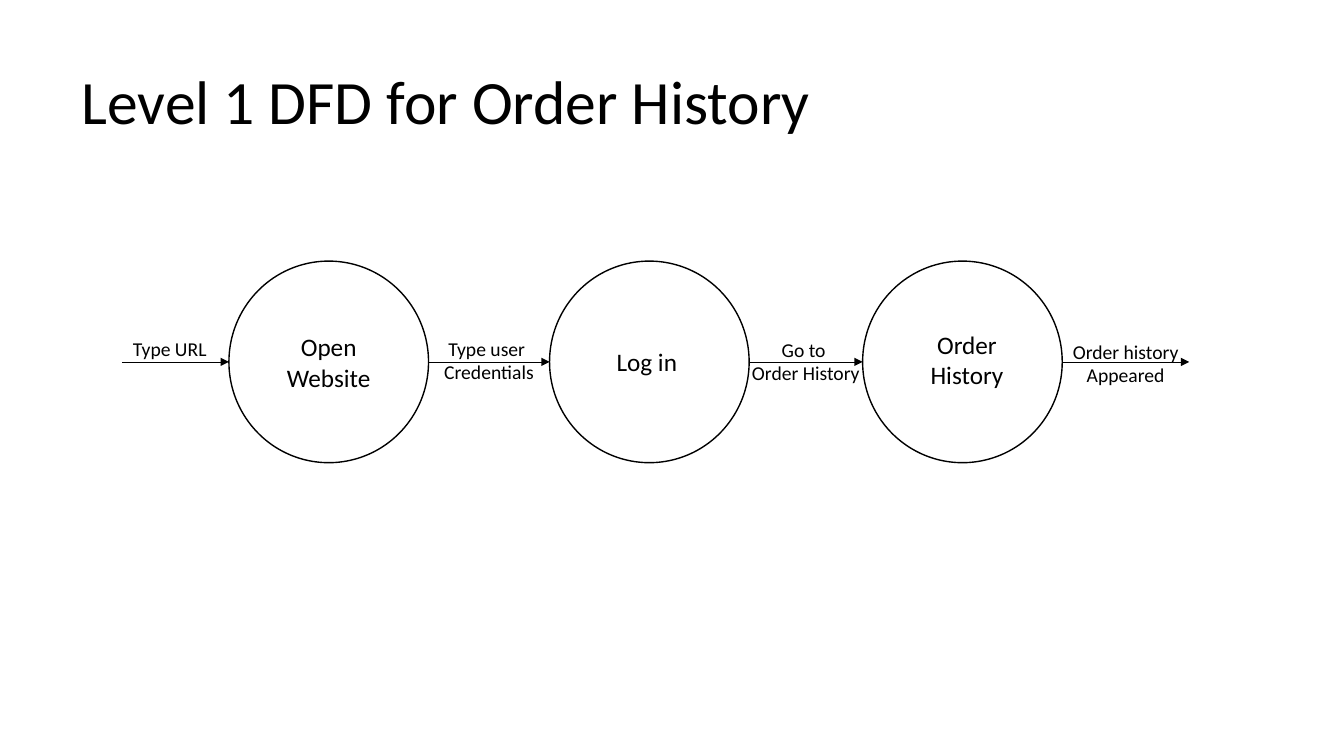
from dataclasses import dataclass

from pptx import Presentation
from pptx.dml.color import RGBColor
from pptx.enum.shapes import MSO_CONNECTOR, MSO_SHAPE
from pptx.enum.text import MSO_ANCHOR, MSO_AUTO_SIZE, PP_ALIGN
from pptx.oxml.ns import qn
from pptx.util import Cm, Pt
from lxml import etree

OVAL, LINE = MSO_SHAPE.OVAL, MSO_CONNECTOR.STRAIGHT
MIDDLE, TOP = MSO_ANCHOR.MIDDLE, MSO_ANCHOR.TOP
LEFT, CENTER = PP_ALIGN.LEFT, PP_ALIGN.CENTER
GROW, FIXED = MSO_AUTO_SIZE.SHAPE_TO_FIT_TEXT, MSO_AUTO_SIZE.NONE


@dataclass
class Theme:
    font: str = "Calibri"
    ink: RGBColor = RGBColor(0, 0, 0)
    paper: RGBColor = RGBColor(255, 255, 255)
    title: int = 44
    step: int = 18
    flow: int = 14


theme = Theme()

# Content, lengths in cm
TITLE = "Level 1 DFD for Order History"
# Circle left edge, text, and text box (left, top, width, height, align) if apart
STEPS = [
    (5.77, "Open Website", None),
    (13.85, "Log in", (15.29, 8.61, 3.58, 1.03, LEFT)),
    (21.74, "Order History", (22.68, 8.18, 3.38, 1.8, CENTER)),
]
# Paragraphs, label top, width, height and shift from the arrow's middle
FLOWS = [
    (["Type URL"], 8.36, 2.97, 0.86, -0.14),
    (["Type user ", "Credentials"], 8.36, 3.58, 1.45, 0),
    (["Go to ", "Order History"], 8.38, 3.58, 1.45, 0),
    (["Order history Appeared"], 8.43, 3.89, 1.45, 0),
]
START, END = 3.07, 29.97
AXIS = 9.12
WIDE, HIGH = 5.03, 5.08


def write(shape, lines, size, align=CENTER, anchor=TOP, fit=GROW, space=None):
    frame = shape.text_frame
    frame.word_wrap = True
    frame.auto_size = fit
    frame.vertical_anchor = anchor
    for i, line in enumerate(lines):
        para = frame.add_paragraph() if i else frame.paragraphs[0]
        para.alignment = align
        if space:
            para.line_spacing = space
        run = para.add_run()
        run.text = line
        font = run.font
        font.name, font.size = theme.font, Pt(size)
        font.color.rgb = theme.ink


def box(left, top, width, height):
    return slide.shapes.add_textbox(Cm(left), Cm(top), Cm(width), Cm(height))


def arrow(start, end):
    line = slide.shapes.add_connector(LINE, Cm(start), Cm(AXIS), Cm(end), Cm(AXIS))
    line.line.color.rgb = theme.ink
    line.line.width = Pt(0.5)
    props = line.line._get_or_add_ln()
    etree.SubElement(props, qn("a:tailEnd"), type="triangle")
    etree.SubElement(line._element.spPr, qn("a:effectLst"))


deck = Presentation()
deck.slide_width, deck.slide_height = Cm(33.87), Cm(19.05)
slide = deck.slides.add_slide(deck.slide_layouts[5])

# Title
head = slide.shapes.title
head.left, head.top, head.width, head.height = Cm(1.8), Cm(0.46), Cm(31.01), Cm(4.34)
write(head, [TITLE], theme.title, LEFT, MIDDLE, FIXED, 0.9)

# Process circles
for left, text, place in STEPS:
    disc = slide.shapes.add_shape(
        OVAL, Cm(left), Cm(AXIS - HIGH / 2), Cm(WIDE), Cm(HIGH))
    disc.shadow.inherit = False
    disc.fill.solid()
    disc.fill.fore_color.rgb = theme.paper
    disc.line.color.rgb = theme.ink
    disc.line.width = Pt(1)
    if place:
        *area, align = place
        write(box(*area), [text], theme.step, align)
    else:
        write(disc, [text], theme.step, CENTER, MIDDLE, FIXED)

# Data flows run from each circle's right edge to the next one's left
starts = [START] + [left + WIDE for left, *_ in STEPS]
ends = [left for left, *_ in STEPS] + [END]
for start, end, flow in zip(starts, ends, FLOWS):
    lines, top, width, height, shift = flow
    arrow(start, end)
    left = (start + end - width) / 2 + shift
    write(box(left, top, width, height), lines, theme.flow)

deck.save("out.pptx")
